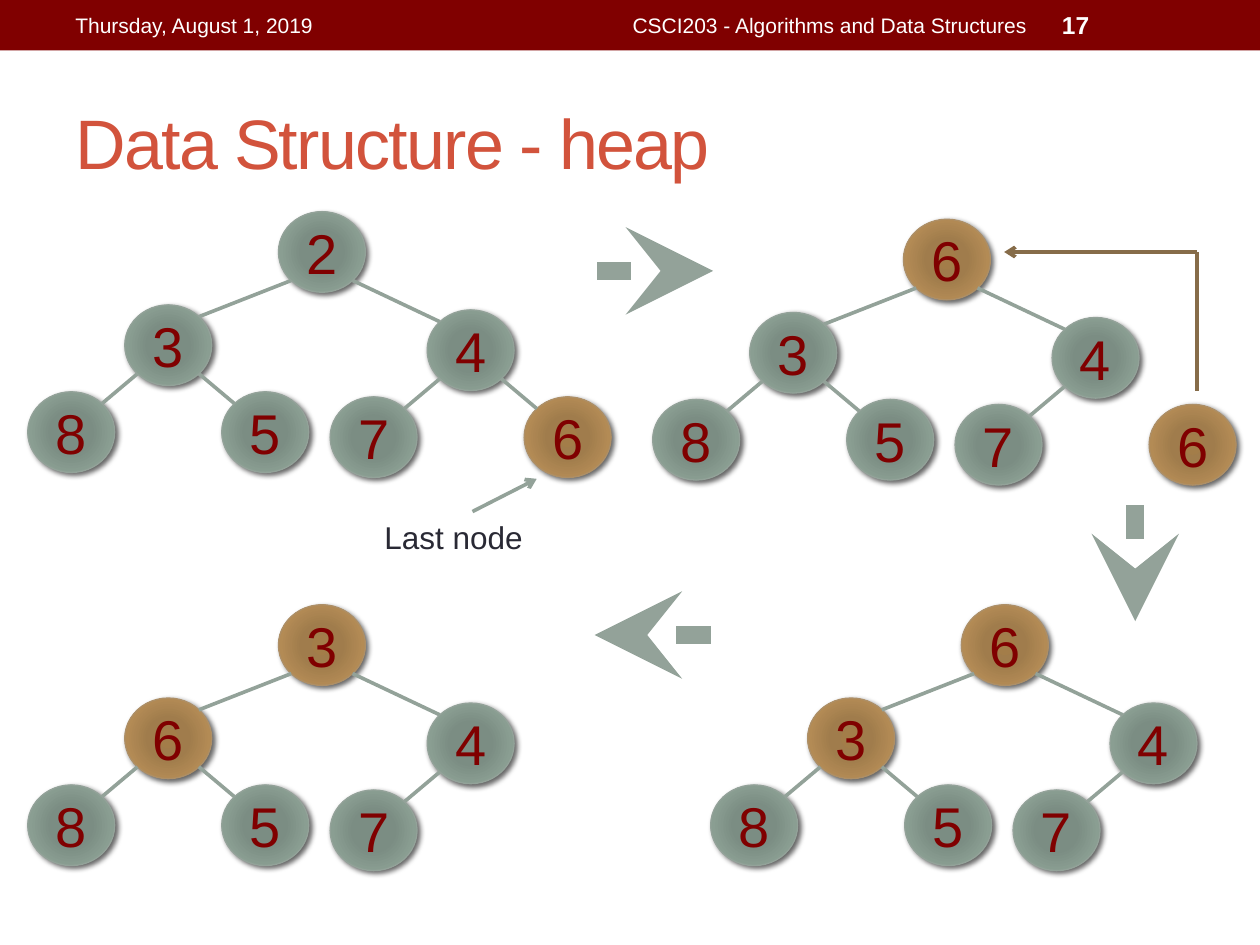
from dataclasses import dataclass
from math import sqrt

from pptx import Presentation
from pptx.dml.color import RGBColor
from pptx.enum.shapes import MSO_CONNECTOR, MSO_SHAPE
from pptx.enum.text import MSO_ANCHOR, MSO_AUTO_SIZE, PP_ALIGN
from pptx.oxml import parse_xml
from pptx.oxml.ns import nsdecls, qn
from pptx.util import Inches, Pt

LINE = MSO_CONNECTOR.STRAIGHT
RECT, OVAL = MSO_SHAPE.RECTANGLE, MSO_SHAPE.OVAL
LEFT, CENTER, RIGHT = PP_ALIGN.LEFT, PP_ALIGN.CENTER, PP_ALIGN.RIGHT
TOP, MIDDLE = MSO_ANCHOR.TOP, MSO_ANCHOR.MIDDLE
GROW = MSO_AUTO_SIZE.SHAPE_TO_FIT_TEXT


@dataclass(frozen=True)
class Theme:
    font: str = "Arial"
    white: str = "FFFFFF"
    maroon: str = "800000"
    title: str = "D2533C"
    ink: str = "292934"
    sage: str = "93A299"
    brown: str = "866C49"
    stops: tuple = (0, 34, 70, 100)
    plain: tuple = ("7B8E82", "7B8D83", "8A9E92", "93A299")
    marked: tuple = ("A37D49", "A07C4C", "B38B55", "AD8F67")
    title_size: float = 40
    node_size: float = 32
    note_size: float = 18
    page_size: float = 14
    head_size: float = 12
    edge: float = 2.08
    step: float = 10
    rim: float = 0.75


T = Theme()
NODE_W, NODE_H = 0.69, 0.64

# Node places within a tree, in level order; node i hangs from (i - 1) // 2
SPOTS = [(1.99, 0), (0.77, 0.74), (3.17, 0.78),
         (0, 1.43), (1.54, 1.43), (2.4, 1.47), (3.94, 1.47)]


def rgb(code):
    return RGBColor.from_string(code)


def write(shape, text, size, color, bold=False, align=LEFT, anchor=MIDDLE,
          wrap=True, track=None):
    frame = shape.text_frame
    frame.word_wrap = wrap
    frame.vertical_anchor = anchor
    para = frame.paragraphs[0]
    para.alignment = align
    run = para.add_run()
    run.text = text
    font = run.font
    font.name, font.size, font.bold = T.font, Pt(size), bold
    font.color.rgb = rgb(color)
    if track is not None:
        font._element.set("spc", str(track * 100))


def label(slide, box, text, size, color, **style):
    shape = slide.shapes.add_textbox(*map(Inches, box))
    write(shape, text, size, color, **style)
    return shape


def link(slide, start, end, color, width, head=None, big="med"):
    line = slide.shapes.add_connector(LINE, *map(Inches, (*start, *end)))
    line.line.color.rgb = rgb(color)
    line.line.width = Pt(width)
    props = line.element.spPr
    if head:
        props.find(qn("a:ln")).append(parse_xml(
            f'<a:tailEnd {nsdecls("a")} type="{head}" w="{big}" len="{big}"/>'))
    props.append(parse_xml(f'<a:effectLst {nsdecls("a")}/>'))


def shade(shape, colors):
    """Radial fill and soft drop shadow."""
    shape.fill.gradient()
    shape.shadow.inherit = False
    props = shape.element.spPr
    stops = "".join(
        f'<a:gs pos="{pos * 1000}"><a:srgbClr val="{color}"/></a:gs>'
        for pos, color in zip(T.stops, colors))
    props.replace(props.find(qn("a:gradFill")), parse_xml(
        f'<a:gradFill {nsdecls("a")} rotWithShape="1"><a:gsLst>{stops}</a:gsLst>'
        '<a:path path="circle"><a:fillToRect l="100000" t="100000" '
        'r="100000" b="100000"/></a:path></a:gradFill>'))
    props.find(qn("a:effectLst")).append(parse_xml(
        f'<a:outerShdw {nsdecls("a")} blurRad="{Pt(3)}" dist="{Pt(2)}" '
        'dir="2700000" rotWithShape="0"><a:srgbClr val="000000">'
        '<a:alpha val="60000"/></a:srgbClr></a:outerShdw>'))


def node(slide, x, y, text, marked):
    colors = T.marked if marked else T.plain
    shape = slide.shapes.add_shape(
        OVAL, *map(Inches, (x, y, NODE_W, NODE_H)))
    shape.line.color.rgb = rgb(colors[-1])
    shape.line.width = Pt(T.rim)
    shade(shape, colors)
    write(shape, text, T.node_size, T.maroon, align=CENTER, wrap=False)


def corner(spot, right, down):
    """Point on a node's rim, on the diagonal given by two signs."""
    x, y = spot
    return (x + NODE_W / 2 * (1 + right / sqrt(2)),
            y + NODE_H / 2 * (1 + down / sqrt(2)))


def tree(slide, left, top, keys, marked, loose=()):
    """Heap from its level order; loose nodes have no edge."""
    spots = [(left + x, top + y) for x, y in SPOTS]
    for i, key in enumerate(keys):
        node(slide, *spots[i], key, i in marked)
    for i in range(1, len(keys)):
        if i not in loose:
            side = -1 if i % 2 else 1
            link(slide, corner(spots[i], -side, -1),
                 corner(spots[(i - 1) // 2], side, 1), T.sage, T.edge)


def header(slide, left, top, width, height):
    bar = slide.shapes.add_shape(
        RECT, *map(Inches, (left, top, width, height)))
    bar.shadow.inherit = False
    bar.fill.solid()
    bar.fill.fore_color.rgb = rgb(T.maroon)
    bar.line.fill.background()
    y, h = top + 0.02, height - 0.04
    label(slide, (left + 0.5, y, 3.17, h), "Thursday, August 1, 2019",
          T.head_size, T.white)
    label(slide, (left + 3.75, y, 4.5, h),
          "CSCI203 - Algorithms and Data Structures",
          T.head_size, T.white, align=RIGHT)
    label(slide, (left + 8.33, y, 1.17, h), "17",
          T.page_size, T.white, bold=True)


def heading(slide, left, top, width, height):
    title = slide.shapes.title
    title.left, title.top = Inches(left), Inches(top)
    title.width, title.height = Inches(width), Inches(height)
    write(title, "Data Structure - heap", T.title_size, T.title, track=-1)


def heaps(slide):
    # Full heap with its last node pointed out
    tree(slide, 0.22, 1.68, "2348576", {6})
    note = label(slide, (2.79, 4.06, 1.62, 0.4), "Last node",
                 T.note_size, T.ink, align=CENTER, anchor=TOP)
    note.text_frame.auto_size = GROW
    link(slide, (3.75, 4.06), (4.26, 3.8), T.sage, T.edge, "arrow")

    # Last node moves to the root
    tree(slide, 5.18, 1.74, "6348576", {0, 6}, loose={6})
    bend = (9.5, 2)
    link(slide, (9.5, 3.1), bend, T.brown, T.edge)
    link(slide, bend, (7.97, 2), T.brown, T.edge, "arrow")

    # Root sinks below its smaller child
    tree(slide, 0.22, 4.8, "364857", {0, 1})
    tree(slide, 5.64, 4.8, "634857", {0, 1})

    # Big arrows from step to step
    for start, end in [((4.74, 2.15), (5.66, 2.15)),
                       ((9.01, 4.01), (9.01, 4.93)),
                       ((5.64, 5.04), (4.72, 5.04))]:
        link(slide, start, end, T.sage, T.step, "stealth", "lg")


def main():
    deck = Presentation()
    deck.slide_width, deck.slide_height = Inches(10), Inches(7.5)
    slide = deck.slides.add_slide(deck.slide_layouts[5])
    header(slide, 0, 0, 10, 0.4)
    heading(slide, 0.5, 0.58, 9, 1.08)
    heaps(slide)
    deck.save("out.pptx")


if __name__ == "__main__":
    main()
